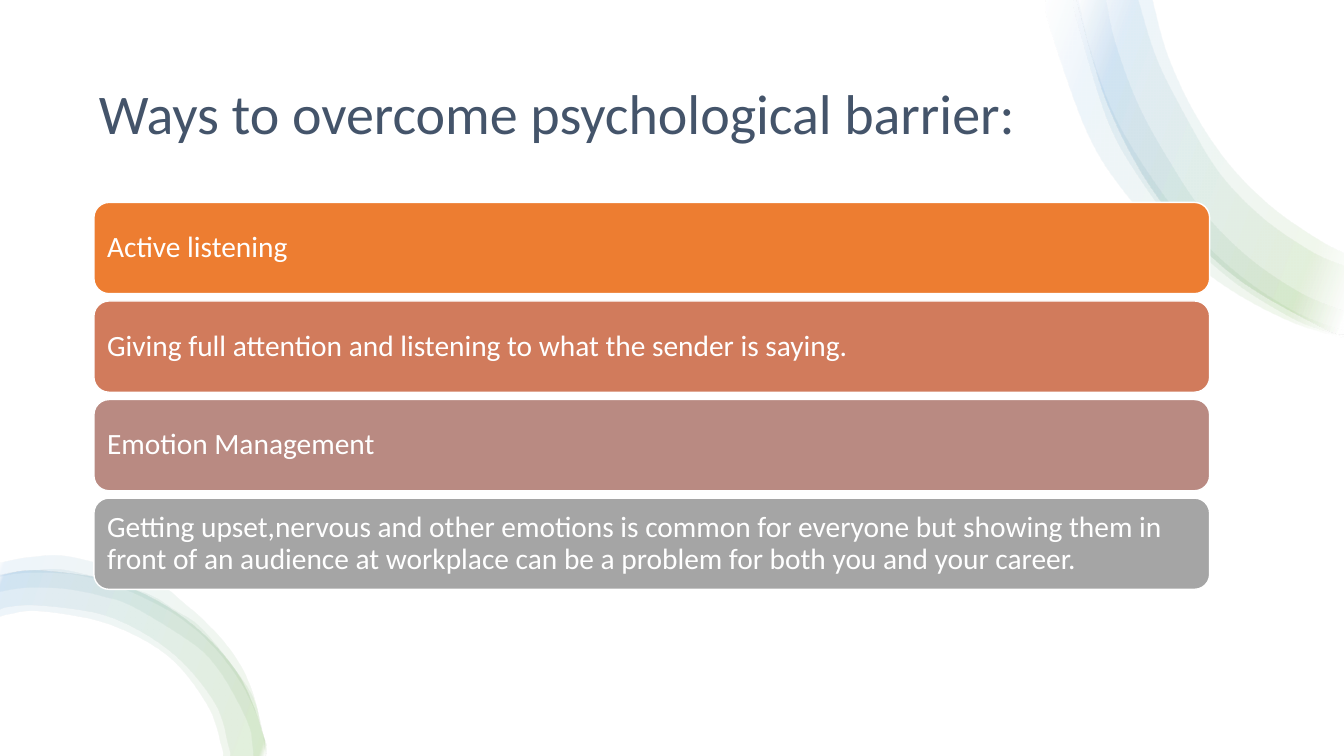
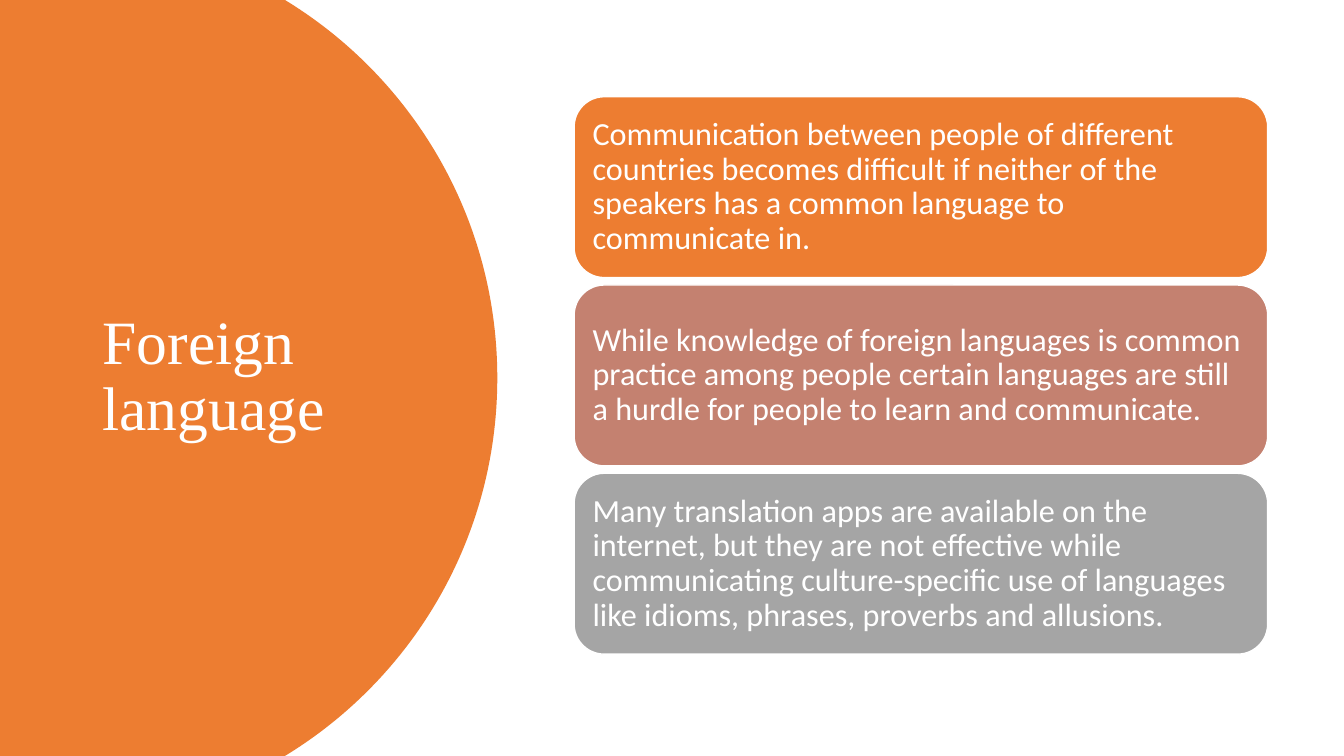
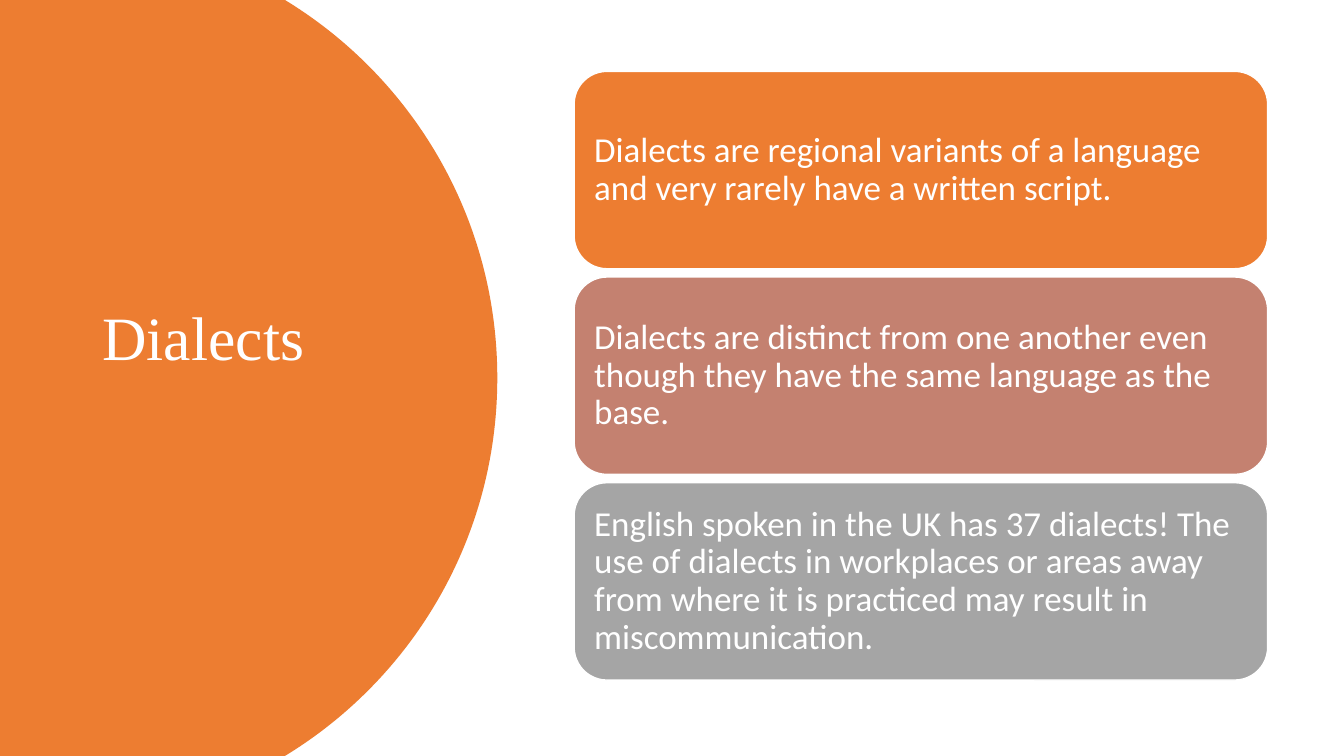
from dataclasses import dataclass

from lxml.etree import SubElement
from pptx import Presentation
from pptx.dml.color import RGBColor
from pptx.enum.shapes import MSO_SHAPE
from pptx.enum.text import MSO_ANCHOR, MSO_AUTO_SIZE, PP_ALIGN
from pptx.oxml.ns import qn
from pptx.util import Pt

ORANGE = RGBColor(0xED, 0x7D, 0x31)
TERRACOTTA = RGBColor(0xD1, 0x7B, 0x5C)
ROSE = RGBColor(0xC4, 0x81, 0x70)
MAUVE = RGBColor(0xB9, 0x8A, 0x82)
GREY = RGBColor(0xA5, 0xA5, 0xA5)
SLATE = RGBColor(0x44, 0x54, 0x6A)
GREEN = RGBColor(0x70, 0xAD, 0x47)
BLUE = RGBColor(0x5B, 0x9B, 0xD5)
WHITE = RGBColor(0xFF, 0xFF, 0xFF)

SLIDE_W, SLIDE_H = 960, 540
SANS, SERIF = "Calibri", "Times New Roman"
RIBBON_COLORS = (WHITE, GREEN, BLUE, WHITE)
FADED_ENDS = (2, 16, 85, 100)
FULL_ENDS = (0, 2, 98, 100)
RIBBON_OPACITY = 10

Point = tuple[float, float]
Controls = dict[int, tuple[Point, Point]]


@dataclass(frozen=True)
class Ribbon:
    outer: list[Point]
    inner: list[Point]
    stops: tuple[int, ...]


@dataclass(frozen=True)
class Title:
    text: str
    box: tuple[float, float, float, float]
    size: float
    font: str
    color: RGBColor
    bottom_inset: float = 3.6


@dataclass(frozen=True)
class CardStack:
    left: float
    top: float
    width: float
    height: float
    pitch: float
    size: float
    cards: list[tuple[RGBColor, str]]


TOP_EDGE = [(960, 239), (942, 233), (881, 197), (829, 144), (792, 77), (769, 0)]
BOTTOM_EDGE = [(189, 540), (189, 529), (170, 482), (133, 443), (84, 417),
               (29, 408), (3, 411), (0, 412)]
RIBBONS = [
    Ribbon([(960, 241), (923, 230), (879, 207), (839, 176), (803.5, 138),
            (776, 94), (749.5, 19), (747, 0)],
           [(770, 0), (779, 37), (796, 83), (821, 125), (850, 163),
            (886, 197), (926, 223), (960, 236)], FADED_ENDS),
    Ribbon(TOP_EDGE,
           [(823, 0), (834, 40), (853, 81), (878, 118), (908, 148),
            (941, 171), (960, 181)], FADED_ENDS),
    Ribbon([(960, 240), (943, 235), (921, 226), (881, 201), (845, 168),
            (815, 129), (791, 86), (769, 14), (767, 0)],
           [(790, 0), (797, 32), (813, 75), (835, 115), (860, 152),
            (892, 184), (929, 209), (960, 222)], FADED_ENDS),
    Ribbon(TOP_EDGE,
           [(813, 0), (826, 42), (847, 84), (871, 124), (902, 156),
            (937, 180), (960, 190)], FADED_ENDS),
    Ribbon(BOTTOM_EDGE,
           [(0, 441), (8, 439), (29, 437), (77, 446), (120, 469),
            (148, 504), (158, 533), (159, 540)], FULL_ENDS),
    Ribbon(BOTTOM_EDGE,
           [(0, 436), (7, 434), (29, 433), (78, 441), (122, 466),
            (153, 502), (163, 533), (164, 540)], FULL_ENDS),
    Ribbon([(189, 540), (189, 530), (186, 518), (178, 493), (146, 451),
            (125, 436), (102, 423), (50, 408), (22, 408), (9, 409), (0, 411)],
           [(0, 423), (11, 421), (24, 420), (48, 421), (73, 426), (96, 434),
            (138, 460), (155, 477), (168, 498), (178, 519), (180, 531),
            (181, 540)], FULL_ENDS),
    Ribbon([(190, 540), (189, 533), (180, 495), (168, 470), (151, 449),
            (130, 430), (107, 414), (51, 398), (22, 398), (0, 402)],
           [(0, 412), (10, 410), (23, 409), (50, 410), (76, 416), (100, 426),
            (123, 438), (144, 454), (162, 474), (176, 496), (186, 520),
            (188, 533), (189, 540)], FULL_ENDS),
]

SIDE_TITLE = {"box": (66, 50.4, 232.6, 438.5), "size": 44, "font": SERIF,
              "color": WHITE}
SIDE_STACK = {"left": 410.1, "width": 495.4}

PSYCHOLOGICAL = CardStack(67.1, 144.6, 797, 65.2, 70.4, 21, [
    (ORANGE, "Active listening"),
    (TERRACOTTA, "Giving full attention and listening to what the sender is "
                 "saying."),
    (MAUVE, "Emotion Management"),
    (GREY, "Getting upset,nervous and other emotions is common for everyone "
           "but showing them in front of an audience at workplace can be a "
           "problem for both you and your career."),
])
LANGUAGE = CardStack(top=69.1, height=129.2, pitch=134.5, size=23, cards=[
    (ORANGE, "Communication between people of different countries becomes "
             "difficult if neither of the speakers has a common language to "
             "communicate in."),
    (ROSE, "While knowledge of foreign languages is common practice among "
           "people certain languages are still a hurdle for people to learn "
           "and communicate."),
    (GREY, "Many translation apps are available on the internet, but they are "
           "not effective while communicating culture-specific use of "
           "languages like idioms, phrases, proverbs and allusions."),
], **SIDE_STACK)
DIALECTS = CardStack(top=51, height=141, pitch=146.9, size=25, cards=[
    (ORANGE, "Dialects are regional variants of a language and very rarely "
             "have a written script."),
    (ROSE, "Dialects are distinct from one another even though they have the "
           "same language as the base."),
    (GREY, "English spoken in the UK has 37 dialects! The use of dialects in "
           "workplaces or areas away from where it is practiced may result in "
           "miscommunication."),
], **SIDE_STACK)


def set_attrs(obj, values: dict) -> None:
    for name, value in values.items():
        setattr(obj, name, value)


def fill_solid(sp, color: RGBColor) -> None:
    sp.fill.solid()
    sp.fill.fore_color.rgb = color


def write_text(sp, text: str, size: float, font: str, color: RGBColor,
               insets: tuple[float, float, float, float]) -> None:
    """Fill a shape with one left-aligned paragraph; insets run left, top, right, bottom."""
    left, top, right, bottom = map(Pt, insets)
    tf = sp.text_frame
    set_attrs(tf, {"word_wrap": True, "auto_size": MSO_AUTO_SIZE.NONE,
                   "vertical_anchor": MSO_ANCHOR.MIDDLE,
                   "margin_left": left, "margin_top": top,
                   "margin_right": right, "margin_bottom": bottom})
    p = tf.paragraphs[0]
    set_attrs(p, {"alignment": PP_ALIGN.LEFT, "line_spacing": 0.9})
    r = p.add_run()
    r.text = text
    set_attrs(r.font, {"name": font, "size": Pt(size)})
    r.font.color.rgb = color


def add_titled_slide(prs, title: Title):
    s = prs.slides.add_slide(prs.slide_layouts[5])
    sp = s.shapes.title
    set_attrs(sp, dict(zip(("left", "top", "width", "height"),
                           map(Pt, title.box))))
    write_text(sp, title.text, title.size, title.font, title.color,
               (7.2, 3.6, 7.2, title.bottom_inset))
    return s


def add_backdrop(s) -> None:
    sp = s.shapes.add_shape(MSO_SHAPE.RECTANGLE, 0, 0, Pt(SLIDE_W), Pt(SLIDE_H))
    sp.shadow.inherit = False
    fill_solid(sp, WHITE)
    sp.line.fill.background()
    s.shapes.title.element.addprevious(sp.element)


def add_outline(s, anchors: list[Point], controls: Controls):
    """Draw a closed, unlined outline; segments listed in controls become cubic curves."""
    start, *rest = [(Pt(x), Pt(y)) for x, y in anchors]
    builder = s.shapes.build_freeform(*start, scale=1.0)
    builder.add_line_segments(rest, close=True)
    sp = builder.convert_to_shape()
    sp.shadow.inherit = False
    sp.line.fill.background()
    for i, segment in enumerate(sp.element.findall(".//" + qn("a:lnTo"))):
        if i in controls:
            segment.tag = qn("a:cubicBezTo")
            for n, (x, y) in enumerate(controls[i]):
                pt = SubElement(segment, qn("a:pt"), x=str(Pt(x) - sp.left),
                                y=str(Pt(y) - sp.top))
                segment.insert(n, pt)
    return sp


def smooth(knots: list[Point], first: int = 0) -> Controls:
    """Give Catmull-Rom control points, numbering segments from first."""
    padded = [knots[0], *knots, knots[-1]]
    return {
        first + i: ((b[0] + (c[0] - a[0]) / 6, b[1] + (c[1] - a[1]) / 6),
                    (c[0] - (d[0] - b[0]) / 6, c[1] - (d[1] - b[1]) / 6))
        for i, (a, b, c, d) in enumerate(
            zip(padded, padded[1:], padded[2:], padded[3:]))}


def add_ribbon(s, ribbon: Ribbon) -> None:
    sp = add_outline(
        s, ribbon.outer + ribbon.inner,
        smooth(ribbon.outer) | smooth(ribbon.inner, len(ribbon.outer)))
    sp.fill.gradient()
    sp.fill.gradient_angle = 160
    stops = sp.element.spPr.find(".//" + qn("a:gsLst"))
    for stop in list(stops):
        stops.remove(stop)
    for position, color in zip(ribbon.stops, RIBBON_COLORS):
        gs = SubElement(stops, qn("a:gs"), pos=str(position * 1000))
        rgb = SubElement(gs, qn("a:srgbClr"), val=str(color))
        SubElement(rgb, qn("a:alpha"), val=str(RIBBON_OPACITY * 1000))


def add_round_panel(s) -> None:
    edge, bulge, middle = 203.5, 355.2, SLIDE_H / 2
    upper = ((294.5, 55.4), (bulge, 155.5))
    lower = tuple((x, SLIDE_H - y) for x, y in reversed(upper))
    sp = add_outline(s, [(0, 0), (edge, 0), (bulge, middle), (edge, SLIDE_H),
                         (0, SLIDE_H)], {1: upper, 2: lower})
    fill_solid(sp, ORANGE)
    s.shapes.title.element.addprevious(sp.element)


def add_cards(s, stack: CardStack) -> None:
    inset = 0.3 * stack.size
    for i, (color, text) in enumerate(stack.cards):
        sp = s.shapes.add_shape(
            MSO_SHAPE.ROUNDED_RECTANGLE, Pt(stack.left),
            Pt(stack.top + i * stack.pitch), Pt(stack.width), Pt(stack.height))
        sp.shadow.inherit = False
        fill_solid(sp, color)
        sp.line.color.rgb = WHITE
        sp.line.width = Pt(1)
        write_text(sp, text, stack.size, SANS, WHITE, (inset,) * 4)


def main() -> None:
    prs = Presentation()
    set_attrs(prs, {"slide_width": Pt(SLIDE_W), "slide_height": Pt(SLIDE_H)})

    s = add_titled_slide(prs, Title("Ways to overcome psychological barrier:",
                                    (63.4, 36, 833, 93.6), 40, SANS, SLATE))
    add_backdrop(s)
    for ribbon in RIBBONS:
        add_ribbon(s, ribbon)
    add_cards(s, PSYCHOLOGICAL)

    for title, stack in (
        (Title("Foreign language", **SIDE_TITLE), LANGUAGE),
        (Title("Dialects", bottom_inset=56.4, **SIDE_TITLE), DIALECTS),
    ):
        s = add_titled_slide(prs, title)
        add_round_panel(s)
        add_cards(s, stack)

    prs.save("out.pptx")


if __name__ == "__main__":
    main()
